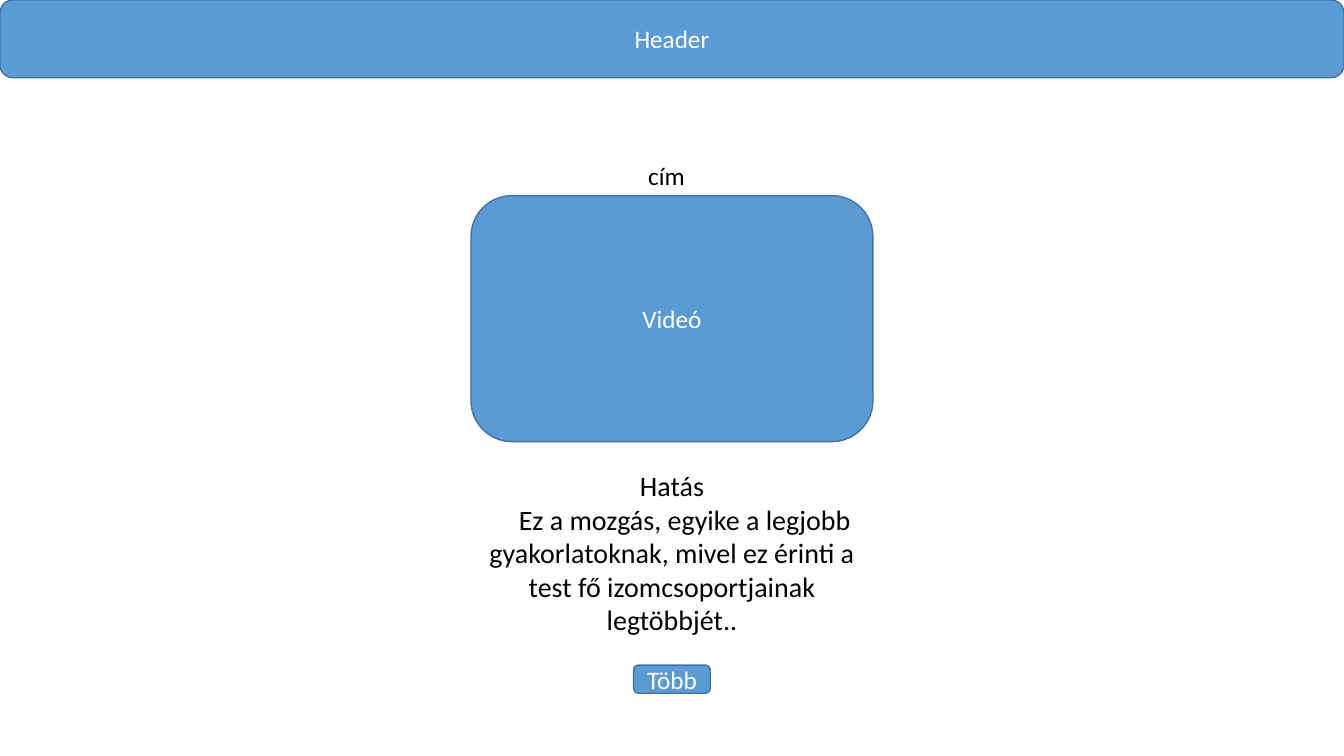
from pptx import Presentation
from pptx.dml.color import RGBColor
from pptx.enum.shapes import MSO_SHAPE
from pptx.enum.text import MSO_ANCHOR, PP_ALIGN
from pptx.util import Cm, Pt

HUES = {"fill": "5B9BD5", "line": "43739E", "light": "FFFFFF", "dark": "000000"}
WIDE, HIGH = 33.87, 19.05


def hue(name):
    """Return the named colour."""
    return RGBColor.from_string(HUES[name])


def write(frame, *lines, size=18, color="dark", align=PP_ALIGN.CENTER,
          anchor=MSO_ANCHOR.TOP):
    """Fill a text frame with one paragraph per line."""
    frame.word_wrap = True
    frame.vertical_anchor = anchor
    for i, line in enumerate(lines):
        para = frame.add_paragraph() if i else frame.paragraphs[0]
        para.alignment = align
        run = para.add_run()
        run.text = line
        run.font.name = "Calibri"
        run.font.size = Pt(size)
        run.font.color.rgb = hue(color)


def panel(slide, box, label):
    """Draw a rounded blue panel with a centred label."""
    shape = slide.shapes.add_shape(MSO_SHAPE.ROUNDED_RECTANGLE, *map(Cm, box))
    shape.shadow.inherit = False
    shape.fill.solid()
    shape.fill.fore_color.rgb = hue("fill")
    shape.line.color.rgb = hue("line")
    shape.line.width = Pt(1)
    write(shape.text_frame, label, color="light", anchor=MSO_ANCHOR.MIDDLE)


def label(slide, box, *lines, **style):
    """Place a text box and return its frame."""
    frame = slide.shapes.add_textbox(*map(Cm, box)).text_frame
    write(frame, *lines, **style)
    return frame


def card(slide, box):
    """Stack title, video, effect text and button in the box."""
    left, top, width, height = box

    def mid(size):
        """Return the left edge that centres a width."""
        return left + (width - size) / 2

    label(slide, (mid(1.7), top, 1.7, 1.02), "cím", align=PP_ALIGN.LEFT)
    panel(slide, (mid(10.13), top + 1.02, 10.13, 6.2), "Videó")
    effect = label(
        slide, (left, top + 7.77, width, 4.52), "Hatás",
        "Ez a mozgás, egyike a legjobb gyakorlatoknak, mivel ez érinti "
        "a test fő izomcsoportjainak legtöbbjét..", size=20)
    props = effect.paragraphs[1]._p.get_or_add_pPr()
    props.set("indent", str(Cm(0.64)))
    panel(slide, (mid(1.93), top + height - 0.71, 1.93, 0.71), "Több")


def main():
    """Build and save the slide."""
    deck = Presentation()
    deck.slide_width, deck.slide_height = Cm(WIDE), Cm(HIGH)
    slide = deck.slides.add_slide(deck.slide_layouts[6])
    panel(slide, (0, 0, WIDE, 1.96), "Header")
    card(slide, ((WIDE - 10.8) / 2, 3.91, 10.8, 13.56))
    deck.save("out.pptx")


main()
